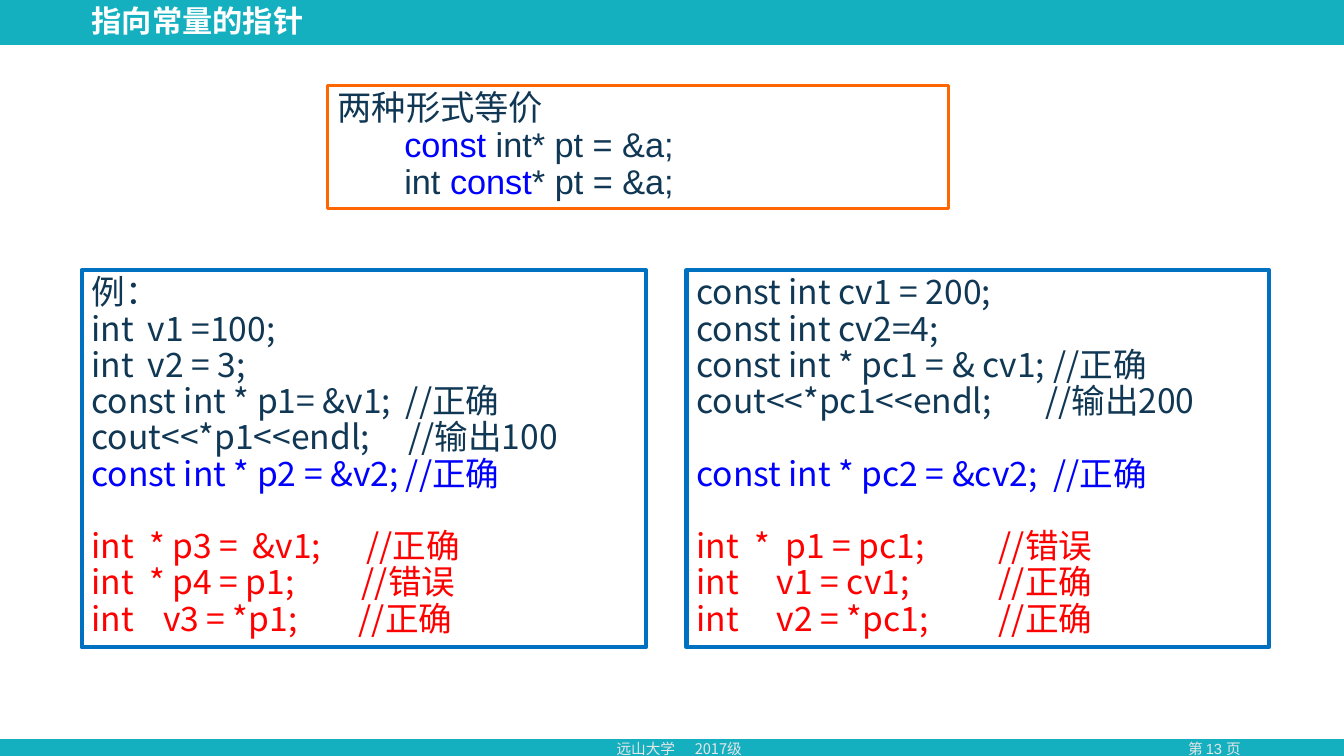
from dataclasses import dataclass
from typing import Optional

from lxml.etree import SubElement
from pptx import Presentation
from pptx.dml.color import RGBColor
from pptx.enum.shapes import MSO_SHAPE
from pptx.enum.text import MSO_ANCHOR, PP_ALIGN
from pptx.oxml.ns import qn
from pptx.util import Cm, Pt

TEAL = RGBColor(0x14, 0xB0, 0xC0)
WHITE = RGBColor(0xFF, 0xFF, 0xFF)
PALE = RGBColor(0xE7, 0xE6, 0xE6)
NAVY = RGBColor(0x10, 0x37, 0x54)
BLUE = RGBColor(0x00, 0x00, 0xFF)
RED = RGBColor(0xFF, 0x00, 0x00)
ORANGE = RGBColor(0xFF, 0x66, 0x00)
FRAME_BLUE = RGBColor(0x00, 0x70, 0xC0)

LATIN_FONT = "Arial"
CHINESE_FONT = "Noto Sans CJK SC"
TIGHT = 1.08
SINGLE = 1.2


@dataclass(frozen=True)
class Span:
    text: str
    color: RGBColor = NAVY


@dataclass(frozen=True)
class Line:
    """One line of text, with its tab stops in centimetres."""
    spans: tuple[Span, ...]
    tabs: tuple[float, ...] = ()
    gap_before: bool = False


@dataclass(frozen=True)
class Panel:
    left: float
    top: float
    width: float
    height: float
    lines: tuple[Line, ...]
    size: float
    font: str = CHINESE_FONT
    pitch: float = TIGHT
    bold: bool = False
    align: PP_ALIGN = PP_ALIGN.LEFT
    anchor: MSO_ANCHOR = MSO_ANCHOR.TOP
    border: Optional[RGBColor] = None
    border_width: float = 0


def code(text: str, *tabs: float, color: RGBColor = NAVY, gap: bool = False) -> Line:
    return Line((Span(text, color),), tabs, gap)


TITLE = Panel(2.06, 0, 24.13, 1.12, (code("指向常量的指针", color=WHITE),), 21.6,
              bold=True, anchor=MSO_ANCHOR.MIDDLE)

EQUIVALENT_FORMS = Panel(8.26, 2.16, 15.65, 3.1, (
    code("两种形式等价"),
    Line((Span("\tconst", BLUE), Span(" int* pt = &a;")), (1.68,)),
    Line((Span("\tint "), Span("const", BLUE), Span("* pt = &a;")), (1.68,)),
), 24.5, font=LATIN_FONT, border=ORANGE, border_width=2.25)

VARIABLE_EXAMPLE = Panel(2.06, 6.81, 14.22, 9.5, (
    code("例："),
    code("int\tv1 =100;", 1.42),
    code("int\tv2 = 3;", 1.42),
    code("const int * p1= &v1;\t//正确", 7.92),
    code("cout<<*p1<<endl;\t//输出100", 7.98),
    code("const int * p2 = &v2;\t//正确", 7.92, color=BLUE),
    code("int\t* p3 =\t&v1;\t//正确", 1.45, 4.06, 6.93, color=RED, gap=True),
    code("int\t* p4 = p1;\t//错误", 1.45, 6.81, color=RED),
    code("int\tv3 = *p1;\t//正确", 1.8, 6.73, color=RED),
), 24, border=FRAME_BLUE, border_width=3)

CONSTANT_EXAMPLE = Panel(17.3, 6.81, 14.68, 9.5, (
    code("const int cv1 = 200;"),
    code("const int cv2=4;"),
    code("const int * pc1 = & cv1;\t//正确", 9),
    code("cout<<*pc1<<endl;\t//输出200", 8.79),
    code("const int * pc2 = &cv2;\t//正确", 9, color=BLUE, gap=True),
    code("int\t*\tp1 = pc1;\t//错误", 1.47, 2.24, 7.62, color=RED, gap=True),
    code("int\tv1 = cv1;\t//正确", 2.03, 7.62, color=RED),
    code("int\tv2 = *pc1;\t//正确", 2.03, 7.62, color=RED),
), 24, border=FRAME_BLUE, border_width=3)

PAGE_NUMBER = Panel(28.75, 18.52, 3.71, 0.71, (code("第 13 页", color=PALE),), 10.5,
                    font=LATIN_FONT, pitch=SINGLE, align=PP_ALIGN.CENTER)
FOOTER = Panel(15.29, 18.52, 4.67, 0.71, (code("远山大学\t2017级", 1.97, color=PALE),), 10.5,
               pitch=SINGLE)


def set_format(target, values: dict) -> None:
    for name, value in values.items():
        setattr(target, name, value)


def add_rectangle(page, left: float, top: float, width: float, height: float):
    box = page.shapes.add_shape(MSO_SHAPE.RECTANGLE, Cm(left), Cm(top), Cm(width), Cm(height))
    box.shadow.inherit = False
    return box


def add_band(page, top: float, height: float, color: RGBColor) -> None:
    band = add_rectangle(page, 0, top, 33.87, height)
    band.fill.solid()
    band.fill.fore_color.rgb = color
    band.line.fill.background()


def write_line(para, line: Line, panel: Panel) -> None:
    pitch = Pt(panel.size * panel.pitch)
    set_format(para, {
        "alignment": panel.align,
        "line_spacing": pitch,
        "space_before": pitch if line.gap_before else Pt(0),
        "space_after": Pt(0),
    })
    if line.tabs:
        tab_list = SubElement(para._p.get_or_add_pPr(), qn("a:tabLst"))
        for position in line.tabs:
            SubElement(tab_list, qn("a:tab"), pos=str(int(Cm(position))), algn="l")
    for span in line.spans:
        run = para.add_run()
        run.text = span.text
        set_format(run.font, {"name": panel.font, "size": Pt(panel.size), "bold": panel.bold})
        run.font.color.rgb = span.color
        SubElement(run._r.get_or_add_rPr(), qn("a:ea"), typeface=CHINESE_FONT)


def add_panel(page, panel: Panel) -> None:
    place = (panel.left, panel.top, panel.width, panel.height)
    if panel.border is None:
        box = page.shapes.add_textbox(*map(Cm, place))
    else:
        box = add_rectangle(page, *place)
        box.fill.background()
        box.line.color.rgb = panel.border
        box.line.width = Pt(panel.border_width)
    frame = box.text_frame
    set_format(frame, {"word_wrap": True, "vertical_anchor": panel.anchor})
    for index, line in enumerate(panel.lines):
        para = frame.add_paragraph() if index else frame.paragraphs[0]
        write_line(para, line, panel)


def main() -> None:
    deck = Presentation()
    set_format(deck, {"slide_width": Cm(33.87), "slide_height": Cm(19.05)})
    page = deck.slides.add_slide(deck.slide_layouts[6])
    add_band(page, 0, 19.05, TEAL)
    add_band(page, 1.14, 17.48, WHITE)
    for panel in (PAGE_NUMBER, FOOTER, TITLE, EQUIVALENT_FORMS, VARIABLE_EXAMPLE, CONSTANT_EXAMPLE):
        add_panel(page, panel)
    deck.save("out.pptx")


if __name__ == "__main__":
    main()
